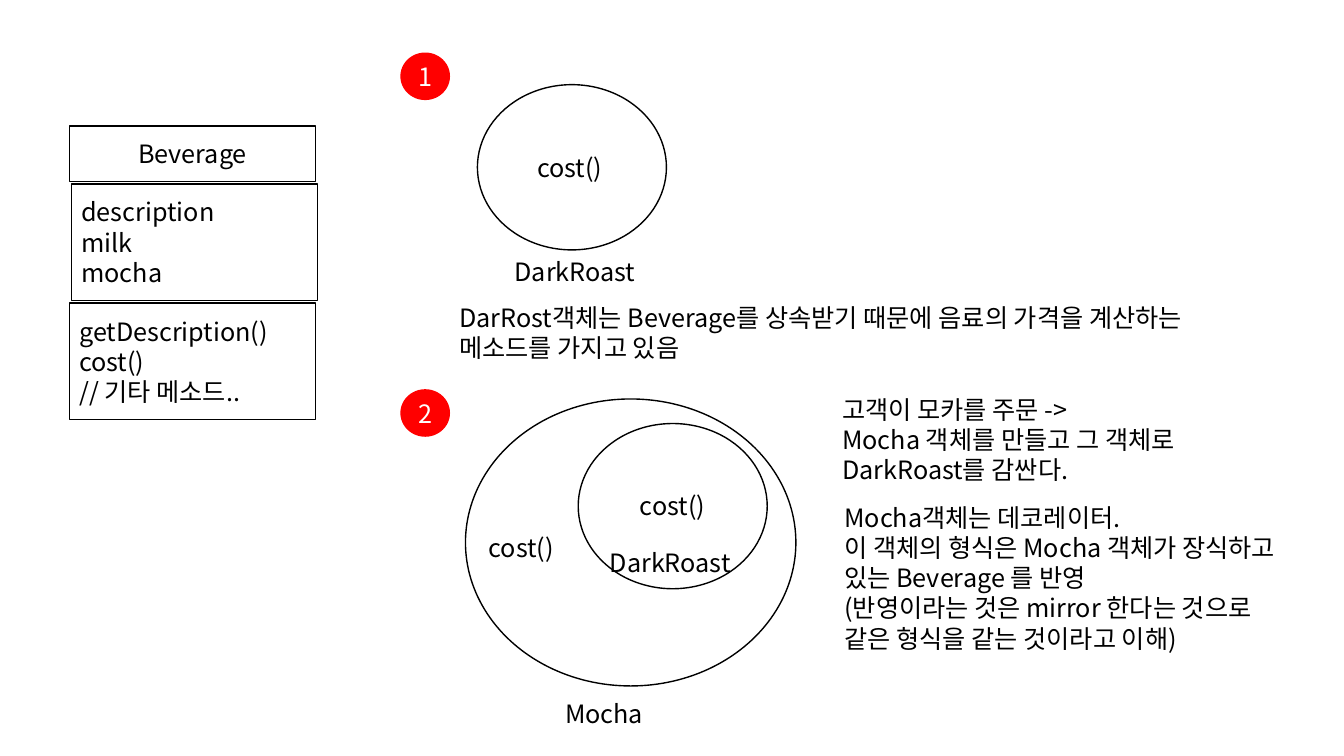
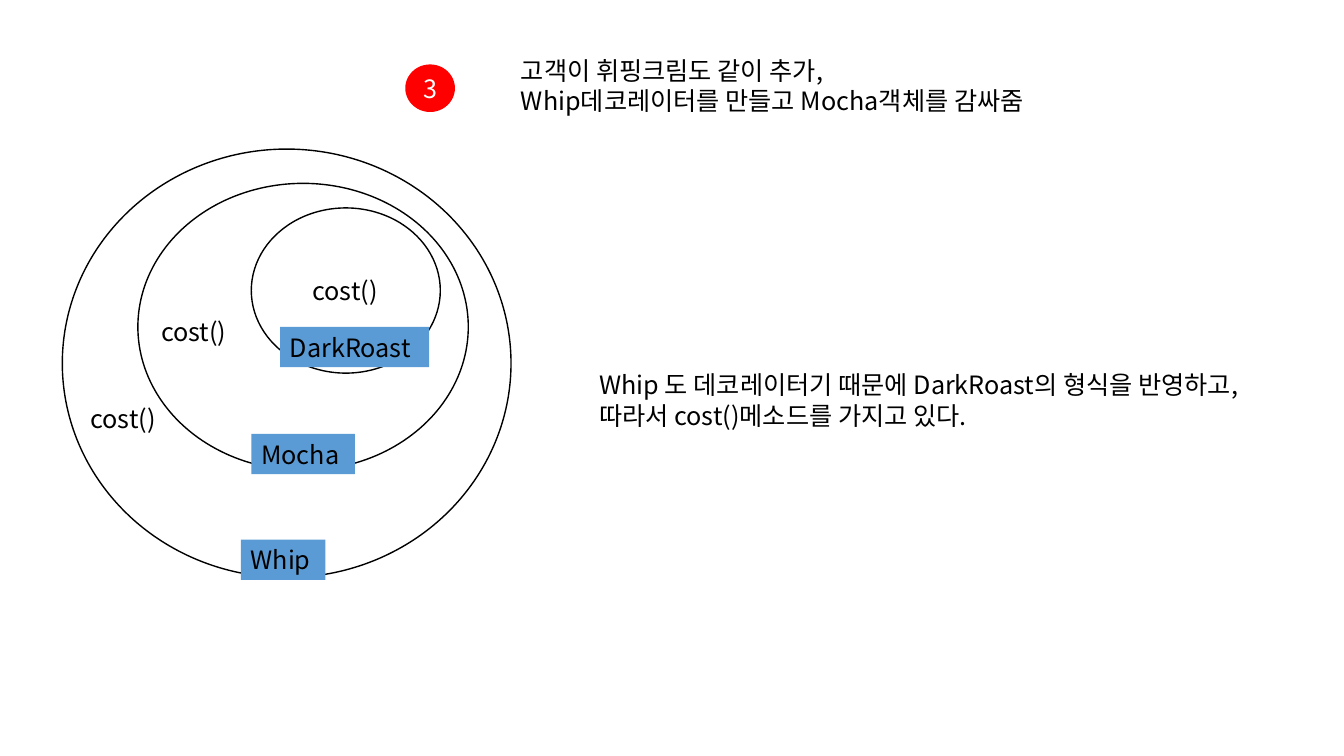
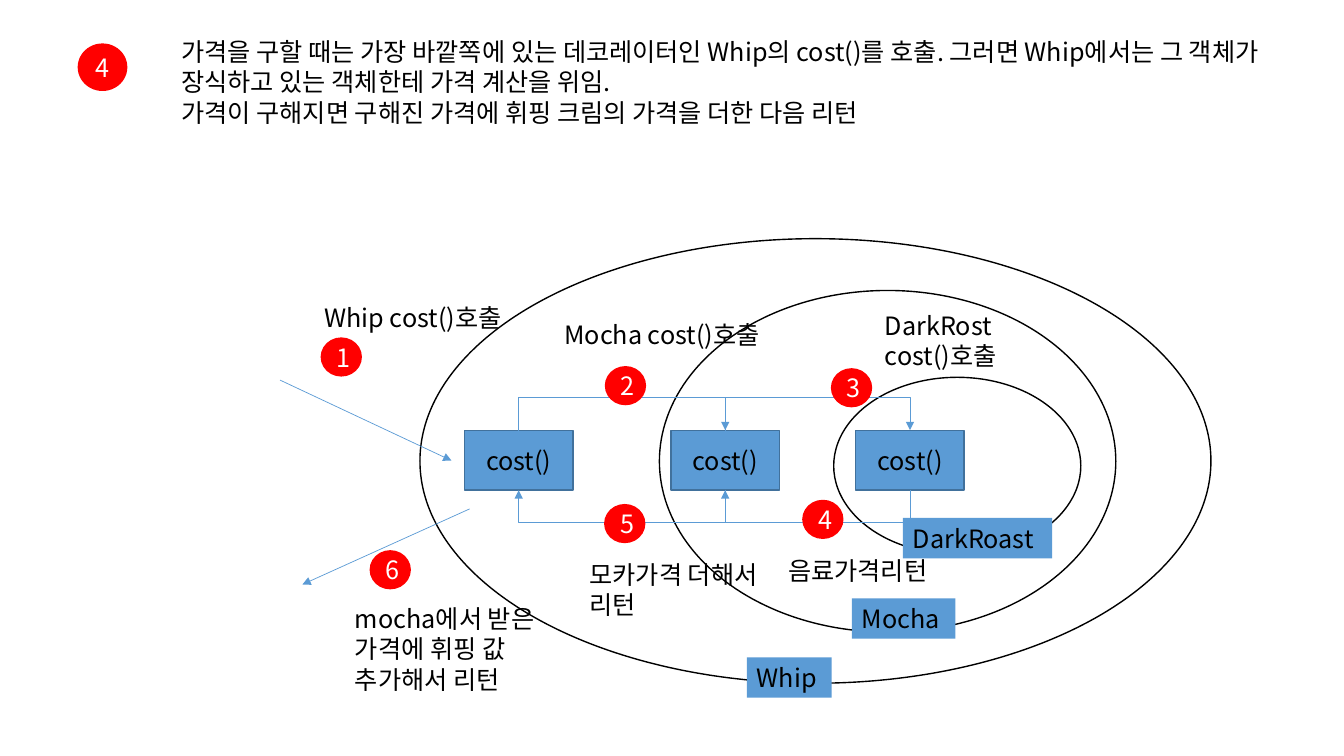
from lxml import etree
from pptx import Presentation
from pptx.dml.color import RGBColor
from pptx.enum import shapes, text
from pptx.oxml.ns import qn
from pptx.util import Pt

BLACK = RGBColor(0x00, 0x00, 0x00)
WHITE = RGBColor(0xFF, 0xFF, 0xFF)
RED = RGBColor(0xFF, 0x00, 0x00)
BLUE = RGBColor(0x5B, 0x9B, 0xD5)
DARK_BLUE = RGBColor(0x41, 0x71, 0x9C)

FONT = "Noto Sans CJK KR"
FONT_SIZE = 18
LINE_HEIGHT = 28.8
DARK_ROAST_SIZE = (135, 118)
MOCHA_SIZE = (236, 205)
LABEL_WIDTHS = {"DarkRoast": 106.5, "Mocha": 74, "Whip": 60.5}

RECTANGLE = shapes.MSO_SHAPE.RECTANGLE
OVAL = shapes.MSO_SHAPE.OVAL
CENTER = text.PP_ALIGN.CENTER
LEFT = text.PP_ALIGN.LEFT


class Board:
    """Holds the deck, the current page and the shared style."""

    def __init__(self):
        self.deck = Presentation()
        self.deck.slide_width, self.deck.slide_height = Pt(960), Pt(540)
        self.page = None

    def new_page(self):
        self.page = self.deck.slides.add_slide(self.deck.slide_layouts[6])

    def set_words(self, box, words, color=BLACK, align=LEFT, anchor=text.MSO_ANCHOR.MIDDLE):
        frame = box.text_frame
        frame.word_wrap = True
        frame.vertical_anchor = anchor
        frame.text = words
        for para in frame.paragraphs:
            para.alignment = align
            para.font.size = Pt(FONT_SIZE)
            para.font.name = FONT
            para.font.color.rgb = color
        for style in box.element.iter(qn("a:defRPr")):
            etree.SubElement(style, qn("a:ea"), typeface=FONT)

    def shape(self, kind, left, top, width, height, fill=None, line=None):
        box = self.page.shapes.add_shape(kind, Pt(left), Pt(top), Pt(width), Pt(height))
        box.shadow.inherit = False
        if fill is None:
            box.fill.background()
        else:
            box.fill.solid()
            box.fill.fore_color.rgb = fill
        if line is None:
            box.line.fill.background()
        else:
            box.line.color.rgb = line
            box.line.width = Pt(1)
        return box

    def ring(self, left, top, width, height):
        self.shape(OVAL, left, top, width, height, line=BLACK)

    def badge(self, number, left, top, width=35.5, height=34):
        box = self.shape(OVAL, left, top, width, height, fill=RED)
        self.set_words(box, str(number), WHITE, CENTER)

    def small_badge(self, number, left, top):
        self.badge(number, left, top, 29.5, 28)

    def label(self, name, left, top):
        box = self.shape(RECTANGLE, left, top, LABEL_WIDTHS[name], LINE_HEIGHT, fill=BLUE)
        self.set_words(box, name, anchor=text.MSO_ANCHOR.TOP)

    def class_box(self, words, left, top, height, align=LEFT):
        box = self.shape(RECTANGLE, left, top, 176, height, line=BLACK)
        self.set_words(box, words, align=align)

    def note(self, words, left, top, width=65, height=LINE_HEIGHT):
        box = self.page.shapes.add_textbox(Pt(left), Pt(top), Pt(width), Pt(height))
        self.set_words(box, words, anchor=text.MSO_ANCHOR.TOP)

    def method_box(self, center, top, height):
        box = self.shape(RECTANGLE, center - 38.75, top, 77.5, height, BLUE, DARK_BLUE)
        self.set_words(box, "cost()", align=CENTER)

    def arrow(self, begin, end, kind=shapes.MSO_CONNECTOR.STRAIGHT):
        points = [Pt(value) for value in (*begin, *end)]
        line = self.page.shapes.add_connector(kind, *points)
        line.line.color.rgb = BLUE
        line.line.width = Pt(0.5)
        properties = line.element.spPr
        etree.SubElement(properties.find(qn("a:ln")), qn("a:tailEnd"), type="triangle")
        etree.SubElement(properties, qn("a:effectLst"))
        return line

    def bracket_arrow(self, start, end, level, depth=23.75):
        """Leave level vertically, up when heading right and down when heading left."""
        thin = 0.4
        middle, half = (start + end) / 2, (end - start) / 2
        lean = thin / 2 if end > start else -thin / 2
        # The elbow is laid out sideways, then turned a quarter.
        line = self.arrow((middle + lean, level + half), (middle - lean, level - half),
                          shapes.MSO_CONNECTOR.ELBOW)
        properties = line.element.spPr
        properties.find(qn("a:xfrm")).set("rot", "5400000")
        guides = properties.find(qn("a:prstGeom")).find(qn("a:avLst"))
        etree.SubElement(guides, qn("a:gd"), name="adj1",
                         fmla=f"val {round(depth / thin * 100000)}")


def wrapping_page(board):
    board.new_page()
    board.ring(341, 60.5, *DARK_ROAST_SIZE)
    board.note("cost()", 376.5, 105)
    board.note("DarkRoast", 360.5, 179.5, 106.5)
    board.badge(1, 286, 37.5)
    board.note("DarRost객체는 Beverage를 상속받기 때문에 음료의 가격을 계산하는 메소드를 가지고 있음",
               321, 212.5, 563, 51)

    board.class_box("Beverage", 49.5, 90, 39.5, CENTER)
    board.class_box("description\nmilk\nmocha", 51, 131.5, 83)
    board.class_box("getDescription()\ncost()\n// 기타 메소드..", 49.5, 216.5, 83)

    board.badge(2, 286, 278)
    board.ring(413, 302.5, *DARK_ROAST_SIZE)
    board.note("cost()", 450, 347)
    board.note("DarkRoast", 428.5, 387.5, 106.5)
    board.ring(332.5, 285, *MOCHA_SIZE)
    board.note("Mocha", 396.5, 495, 106.5)
    board.note("cost()", 342, 376.5)
    board.note("고객이 모카를 주문 ->\nMocha 객체를 만들고 그 객체로 DarkRoast를 감싼다.",
               594.5, 278, 322, 73)
    board.note("Mocha객체는 데코레이터.\n"
               "이 객체의 형식은 Mocha 객체가 장식하고 있는 Beverage 를 반영\n"
               "(반영이라는 것은 mirror 한다는 것으로\n"
               "같은 형식을 같는 것이라고 이해)", 596, 355, 322, 116.5)


def whip_page(board):
    board.new_page()
    board.badge(3, 289.5, 46)
    board.ring(179.5, 148.5, *DARK_ROAST_SIZE)
    board.note("cost()", 216, 193)
    board.label("DarkRoast", 200, 233.5)
    board.ring(98.5, 131, *MOCHA_SIZE)
    board.label("Mocha", 179.5, 310)
    board.note("cost()", 108, 222.5)
    board.note("고객이 휘핑크림도 같이 추가,\nWhip데코레이터를 만들고 Mocha객체를 감싸줌",
               365, 36, 403, 51)
    board.note("Whip 도 데코레이터기 때문에 DarkRoast의 형식을 반영하고,\n"
               "따라서 cost()메소드를 가지고 있다.", 421, 260.5, 524, 51)
    board.ring(44.5, 106.5, 320.5, 306)
    board.label("Whip", 172, 385.5)
    board.note("cost()", 57.5, 284.5)


def call_page(board):
    whip, mocha, dark_roast = 370.5, 518, 650
    top, height = 307.5, 42.5
    bottom = top + height

    board.new_page()
    board.badge(4, 55.5, 31)
    board.note("가격을 구할 때는 가장 바깥쪽에 있는 데코레이터인 Whip의 cost()를 호출. "
               "그러면 Whip에서는 그 객체가 장식하고 있는 객체한테 가격 계산을 위임.\n"
               "가격이 구해지면 구해진 가격에 휘핑 크림의 가격을 더한 다음 리턴",
               122.5, 22.5, 808, 73)
    board.ring(595.5, 269.5, 176.5, 126.5)
    board.label("DarkRoast", 645, 370)
    board.ring(471, 207.5, 326, 244)
    board.label("Mocha", 608.5, 427.5)
    board.ring(300, 170.5, 565, 317.5)
    board.label("Whip", 533.5, 469.5)

    for center in (whip, mocha, dark_roast):
        board.method_box(center, top, height)
    for outer, inner in ((whip, mocha), (mocha, dark_roast)):
        board.bracket_arrow(outer, inner, top)
        board.bracket_arrow(inner, outer, bottom)
    board.arrow((200, 271.5), (322.5, 329))
    board.arrow((335.5, 363.5), (216, 417.5))

    badges = ((229, 241), (432, 261.5), (593.5, 263), (573, 357), (431.5, 360), (264, 393))
    for number, place in enumerate(badges, 1):
        board.small_badge(number, *place)
    board.note("Whip cost()호출", 224.5, 212.5, 151)
    board.note("Mocha cost()호출", 396, 224.5, 161.5)
    board.note("DarkRost\vcost()호출", 625, 218, 102, 51)
    board.note("음료가격리턴", 556, 393, 119.5)
    board.note("모카가격 더해서 리턴", 414, 396, 140.5, 51)
    board.note("mocha에서 받은 가격에 휘핑 값 추가해서 리턴", 246.5, 427.5, 158.5, 73)


def main():
    board = Board()
    wrapping_page(board)
    whip_page(board)
    call_page(board)
    board.deck.save("out.pptx")


if __name__ == "__main__":
    main()
